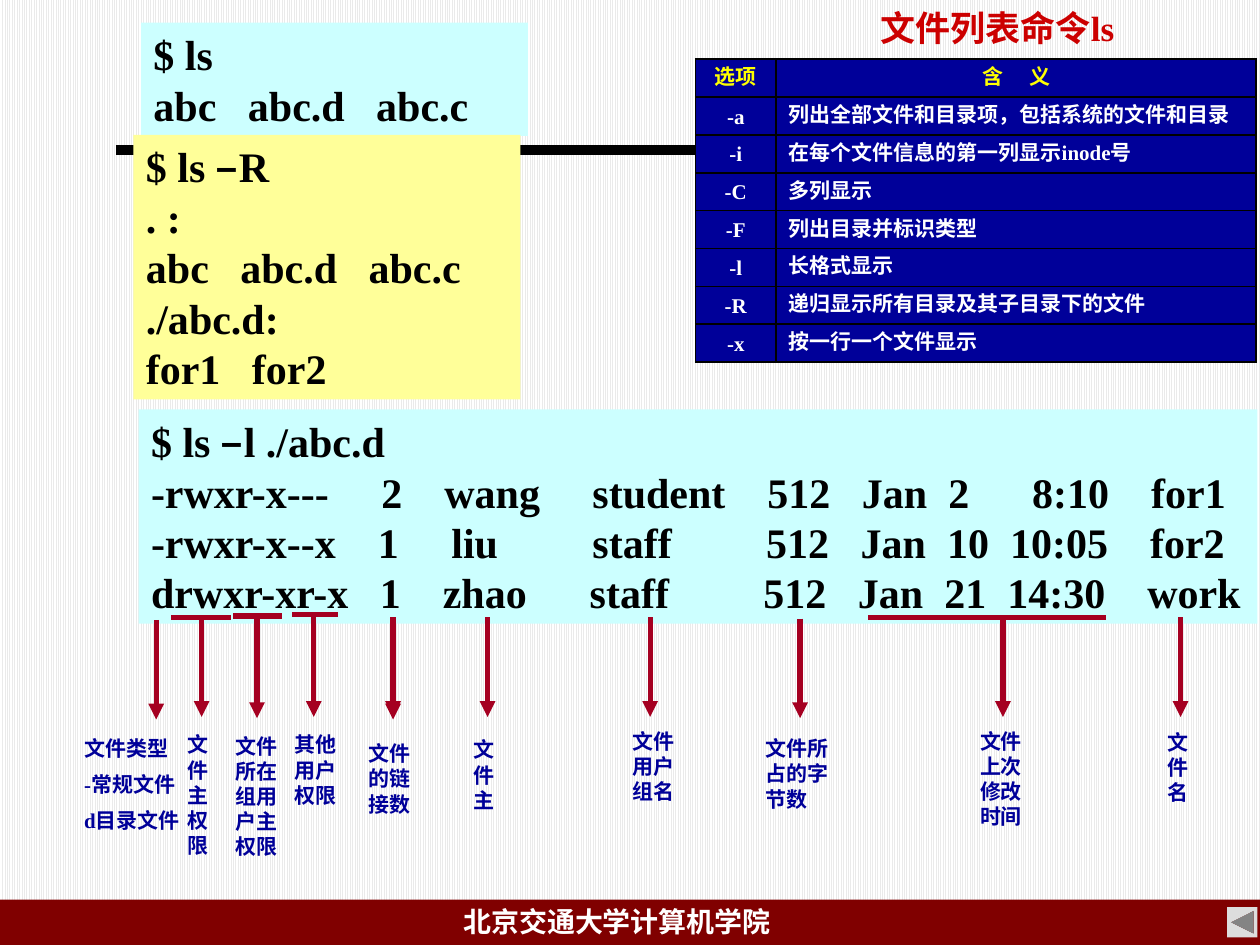
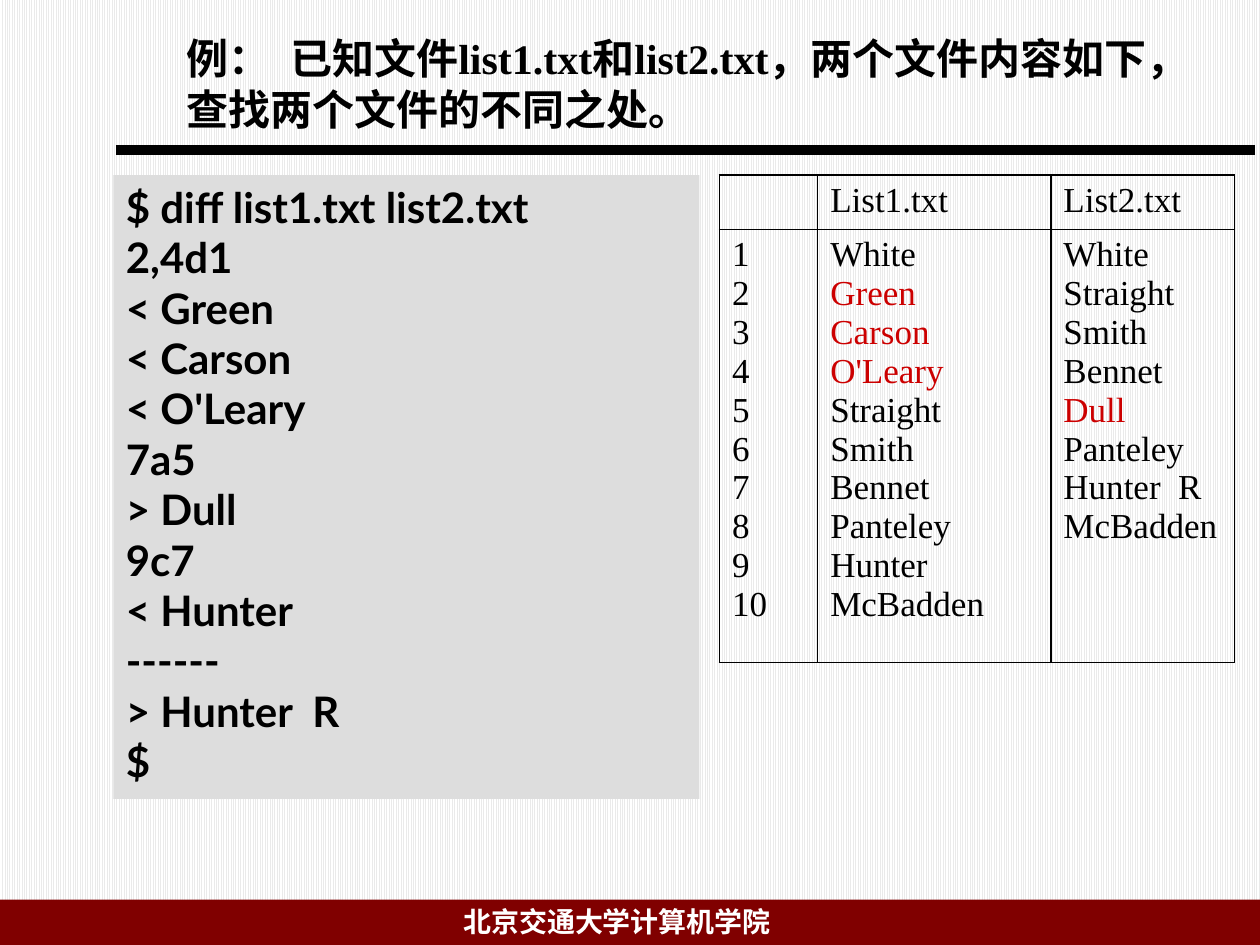
from lxml.etree import SubElement
from pptx import Presentation
from pptx.dml.color import RGBColor
from pptx.enum.dml import MSO_PATTERN
from pptx.enum.shapes import MSO_CONNECTOR, MSO_SHAPE
from pptx.enum.text import MSO_ANCHOR, PP_ALIGN
from pptx.oxml.ns import qn
from pptx.util import Inches, Pt

HUES = {
    "maroon": "800000", "black": "000000", "white": "FFFFFF", "pale": "EAEAEA",
    "navy": "000099", "yellow": "FFFF00", "cyan": "CCFFFF", "cream": "FFFF99",
    "arrow": "A50021", "grey": "DDDDDD", "red": "CC0000",
}
RGB = {name: RGBColor.from_string(code) for name, code in HUES.items()}
CJK, SERIF = "Noto Sans CJK SC", "Times New Roman"

# Style: font values, colour, line pitch in points (None for natural)
STYLES = {
    "foot": ({"size": Pt(16), "bold": True, "name": SERIF}, "white", 19.2),
    "head": ({"size": Pt(20), "bold": True, "name": SERIF}, "red", 24),
    "term": ({"size": Pt(24), "bold": True, "name": SERIF}, "black", 28.8),
    "diff": ({"size": Pt(24), "bold": True, "name": "Lato"}, "black", 28.8),
    "tag": ({"size": Pt(12), "bold": True, "name": SERIF}, "navy", 14.4),
    "key": ({"size": Pt(12), "bold": True, "name": SERIF}, "yellow", 14.4),
    "option": ({"size": Pt(12), "bold": True, "name": SERIF}, "white", 14.4),
    "list": ({"size": Pt(20), "bold": False, "name": SERIF}, "black", None),
}


def write(frame, lines, style, align=PP_ALIGN.LEFT, marks=()):
    """Fill a text frame; a line is a string or a tuple of runs."""
    font, hue, pitch = STYLES[style]
    for i, line in enumerate(lines):
        para = frame.add_paragraph() if i else frame.paragraphs[0]
        para.alignment = align
        if pitch:
            para.line_spacing = Pt(pitch)
        if i and style == "tag":
            para.space_before = Pt(6)
        for part in (line,) if isinstance(line, str) else line:
            run = para.add_run()
            run.text = part
            for key, value in font.items():
                setattr(run.font, key, value)
            if part == "–":
                run.font.name = CJK
            run.font.color.rgb = RGB["red" if part in marks else hue]
            SubElement(run.font._element, qn("a:ea"), typeface=CJK)


def draw(page, start, end, hue, width, arrow=False):
    """Draw a straight line, with a head at its end if it is an arrow."""
    line = page.shapes.add_connector(
        MSO_CONNECTOR.STRAIGHT, *map(Inches, start + end))
    line.line.color.rgb = RGB[hue]
    line.line.width = Pt(width)
    if arrow:
        SubElement(line.line._get_or_add_ln(), qn("a:tailEnd"), type="triangle")
    SubElement(line._element.spPr, qn("a:effectLst"))


prs = Presentation()
prs.slide_width, prs.slide_height = Inches(10), Inches(7.5)
back = prs.slide_master.background.fill
back.patterned()
back.pattern = MSO_PATTERN.LIGHT_VERTICAL
back.fore_color.rgb, back.back_color.rgb = RGB["pale"], RGB["white"]

pages = [prs.slides.add_slide(prs.slide_layouts[6]) for _ in range(2)]
first, second = pages
for page in pages:
    draw(page, (0.92, 1.19), (9.96, 1.19), "black", 6)

# Tables: each cell is a list of lines
options = [
    ("选项", ("含", " ", "义")),
    ("-a", "列出全部文件和目录项，包括系统的文件和目录"),
    ("-i", "在每个文件信息的第一列显示inode号"),
    ("-C", "多列显示"),
    ("-F", "列出目录并标识类型"),
    ("-l", "长格式显示"),
    ("-R", "递归显示所有目录及其子目录下的文件"),
    ("-x", "按一行一个文件显示"),
]
left = ["White", "Green", "Carson", "O'Leary", "Straight",
        "Smith", "Bennet", "Panteley", "Hunter", "McBadden"]
right = ["White", "Straight", "Smith", "Bennet", "Dull",
         "Panteley", "Hunter  R", "McBadden"]
files = [
    ([], ["List1.txt"], ["List2.txt"]),
    ([str(n) for n in range(1, 11)], left, right),
]
tables = [
    (first, 5.52, 0.47, (0.64, 3.81), (0.3,) * 8,
     [[[text] for text in row] for row in options], "navy"),
    (second, 5.71, 1.39, (0.78, 1.85, 1.46), (0.43, 3.44), files, None),
]
grids = []
for page, x, y, cols, rows, data, fill in tables:
    grid = page.shapes.add_table(
        len(rows), len(cols), Inches(x), Inches(y),
        Inches(sum(cols)), Inches(sum(rows))).table
    grid.first_row = grid.horz_banding = False
    grids.append(grid)
    for col, width in zip(grid.columns, cols):
        col.width = Inches(width)
    for r, (row, height) in enumerate(zip(grid.rows, rows)):
        row.height = Inches(height)
        for c, cell in enumerate(row.cells):
            props = cell._tc.get_or_add_tcPr()
            for side in ("lnL", "lnR", "lnT", "lnB"):
                edge = SubElement(props, qn("a:" + side), w=str(Pt(1)))
                paint = SubElement(edge, qn("a:solidFill"))
                SubElement(paint, qn("a:srgbClr"), val=HUES["black"])
            if fill:
                cell.fill.solid()
                cell.fill.fore_color.rgb = RGB[fill]
                cell.vertical_anchor = MSO_ANCHOR.MIDDLE
                align = PP_ALIGN.LEFT if r and c else PP_ALIGN.CENTER
                write(cell.text_frame, data[r][c], "option" if r else "key", align)
            else:
                cell.fill.background()
                write(cell.text_frame, data[r][c], "list",
                      marks=("Green", "Carson", "O'Leary", "Dull"))

# Boxes: page, left, top, width, height, fill, style, lines
boxes = []
for page in pages:
    boxes += [
        (page, 0, 7.14, 10, 0.36, "maroon", "foot", []),
        (page, 3.58, 7.13, 3.32, 0.37, None, "foot", ["北京交通大学计算机学院"]),
    ]
boxes += [
    (first, 1.1, 3.25, 8.88, 1.7, "cyan", "term", [
        ("$ ls ", "–", "l ./abc.d"),
        "-rwxr-x---     2    wang     student    512   Jan  2      8:10    for1",
        "-rwxr-x--x    1     liu         staff         512   Jan  10  10:05    for2",
        "drwxr-xr-x   1    zhao      staff         512   Jan  21  14:30    work",
    ]),
    (first, 1.12, 0.18, 3.07, 0.9, "cyan", "term",
     ["$ ls", "abc   abc.d   abc.c"]),
    (first, 1.06, 1.07, 3.07, 2.1, "cream", "term",
     [("$ ls ", "–", "R"), ". :", "abc   abc.d   abc.c", "./abc.d:", "for1   for2"]),
    (first, 6.89, 0, 2.06, 0.43, None, "head", ["文件列表命令ls"]),
    (second, 0.9, 1.39, 4.65, 4.95, "grey", "diff", [
        "$ diff list1.txt list2.txt", "2,4d1", "< Green", "< Carson",
        "< O'Leary", "7a5", "> Dull", "9c7", "< Hunter", "------",
        "> Hunter  R", "$",
    ]),
    (second, 1.38, 0.21, 8.11, 0.9, None, "term", [
        ("例：", " ", "已知文件list1.txt和list2.txt，两个文件内容如下，查找两个文件的不同之处。"),
    ]),
]
tags = [
    (0.57, 5.79, 1.02, 0.9, ["文件类型", "-常规文件", "d目录文件"]),
    (1.39, 5.76, 0.47, 1.1, ["文件主权限"]),
    (1.77, 5.77, 0.63, 1.1, ["文件所在组用户主权限"]),
    (2.24, 5.76, 0.63, 0.7, ["其他用户权限"]),
    (2.83, 5.83, 0.55, 0.7, ["文件的链接数"]),
    (3.66, 5.8, 0.47, 0.7, ["文件主"]),
    (4.92, 5.73, 0.63, 0.7, ["文件用户组名"]),
    (5.98, 5.79, 0.79, 0.7, ["文件所占的字节数"]),
    (7.68, 5.73, 0.63, 0.9, ["文件上次修改时间"]),
    (9.17, 5.74, 0.39, 0.7, ["文件名"]),
]
boxes += [(first, *place, None, "tag", lines) for *place, lines in tags]

for page, x, y, w, h, fill, style, lines in boxes:
    area = [Inches(v) for v in (x, y, w, h)]
    if fill:
        box = page.shapes.add_shape(MSO_SHAPE.RECTANGLE, *area)
        box.shadow.inherit = False
        box.fill.solid()
        box.fill.fore_color.rgb = RGB[fill]
        box.line.fill.background()
        box.text_frame.margin_right = 0
    else:
        box = page.shapes.add_textbox(*area)
    frame = box.text_frame
    frame.word_wrap = True
    frame.vertical_anchor = MSO_ANCHOR.TOP
    write(frame, lines, style)

# Wide gaps inside the table heading and after the example label
heading = grids[0].cell(0, 1).text_frame.paragraphs[0]
sample = second.shapes[-1].text_frame.paragraphs[0]
for para, gap in ((heading, 12), (sample, 6)):
    para.runs[1].font._element.set("spc", str(gap * 100))

# Underlines and arrows from the listing to its labels
for x, end, y in ((1.36, 1.83, 4.9), (1.85, 2.24, 4.89),
                  (2.32, 2.68, 4.88), (6.89, 8.78, 4.9)):
    draw(first, (x, y), (end, y), "arrow", 3)
for x, y in ((1.24, 4.92), (1.6, 4.9), (2.04, 4.91), (2.49, 4.9), (3.12, 4.9),
             (3.12, 4.92), (3.87, 4.9), (5.16, 4.9), (6.35, 4.91),
             (7.96, 4.9), (9.37, 4.9)):
    draw(first, (x, y), (x, y + 0.79), "arrow", 3, True)

button = first.shapes.add_shape(
    MSO_SHAPE.ACTION_BUTTON_BACK_OR_PREVIOUS,
    Inches(9.74), Inches(7.2), Inches(0.24), Inches(0.24))
button.shadow.inherit = False
button.fill.solid()
button.fill.fore_color.rgb = RGB["grey"]
button.line.fill.background()

prs.save("out.pptx")
